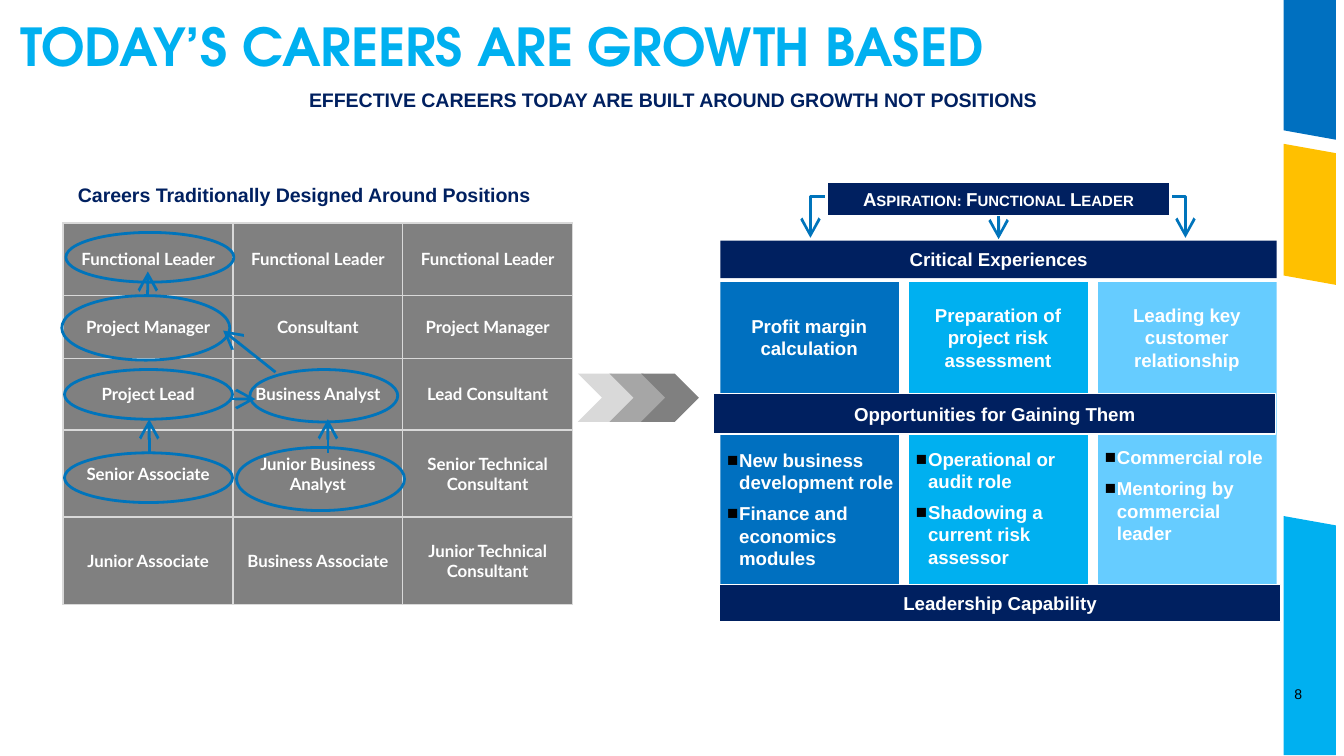
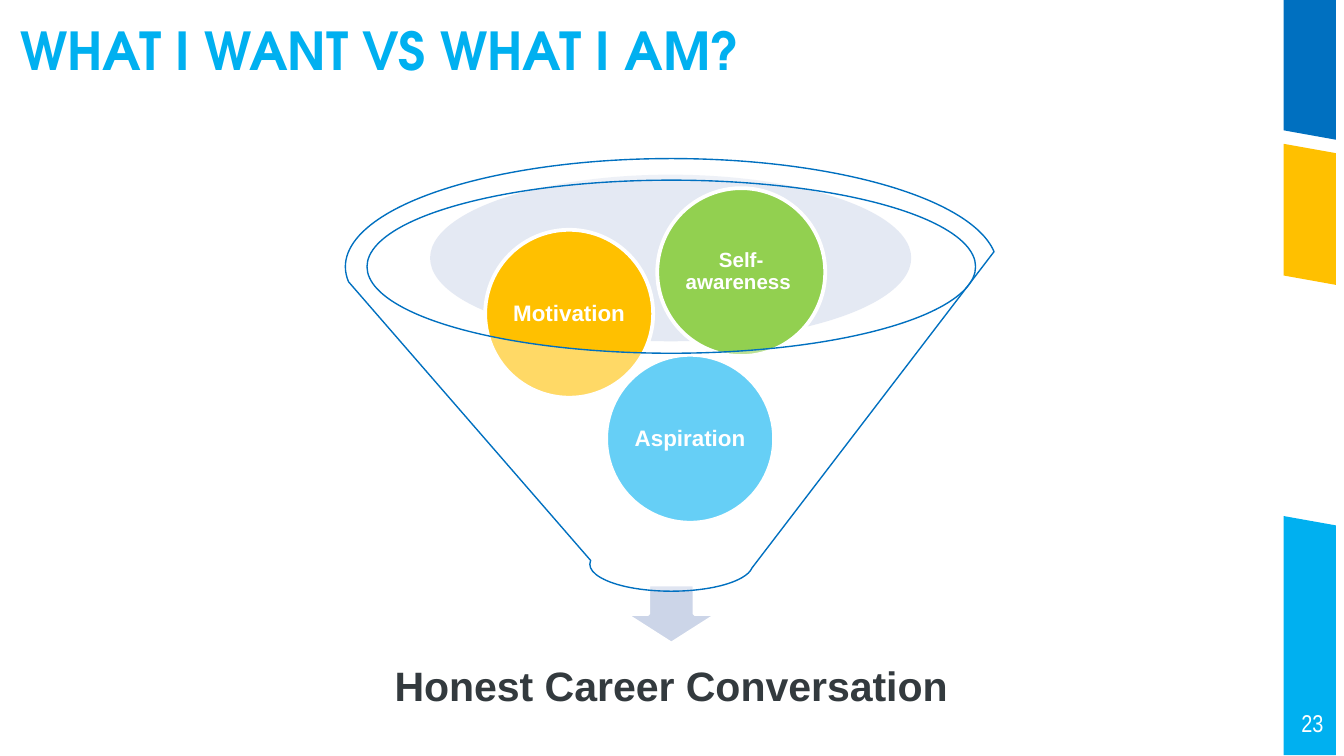
from dataclasses import dataclass
from typing import Optional, Sequence

from lxml.etree import SubElement
from pptx import Presentation
from pptx.dml.color import RGBColor
from pptx.enum.shapes import MSO_CONNECTOR as Connector, MSO_SHAPE as Preset
from pptx.enum.text import MSO_ANCHOR as Anchor, MSO_AUTO_SIZE as AutoSize, PP_ALIGN as Align
from pptx.oxml.ns import qn
from pptx.util import Cm, Pt

COLORS = {
    "navy": "002060", "blue": "0070C0", "sky": "00B0F0", "pale": "66CCFF",
    "gold": "FFC000", "green": "92D050", "ink": "0074BB", "white": "FFFFFF",
    "black": "000000", "slate": "333A3E", "grey": "808080", "mid_grey": "A6A6A6",
    "light_grey": "D9D9D9", "haze": "BDC9E2", "arrow": "CCD5E8",
}


@dataclass(frozen=True)
class Area:
    left: float
    top: float
    width: float
    height: float


@dataclass(frozen=True)
class TextStyle:
    size: float
    color: str = "white"
    font: str = "Arial"
    bold: bool = True
    align: Align = Align.CENTER
    anchor: Anchor = Anchor.MIDDLE
    inset: float = 0
    line_spacing: float = 1.0


@dataclass(frozen=True)
class Band:
    color: str
    points: Sequence[tuple[float, float]]


@dataclass(frozen=True)
class Bar:
    label: str
    area: Area


@dataclass(frozen=True)
class Column:
    color: str
    experience: str
    roles: Sequence[str]
    list_width: float


@dataclass(frozen=True)
class Ball:
    label: str
    color: str
    left: float
    top: float
    size: float


TITLE = TextStyle(28, "sky", "TeX Gyre Adventor", align=Align.LEFT, inset=0.04)
HEADING = TextStyle(10.5, "navy")
LABEL = TextStyle(10)
ROLE = TextStyle(10, align=Align.LEFT, anchor=Anchor.TOP)
CELL = TextStyle(9, font="Lato")

BANDS = [
    Band("sky", [(9.55, 5.62), (9.55, 3.84), (9.94, 3.91), (9.94, 5.62)]),
    Band("gold", [(9.94, 2.12), (9.55, 2.05), (9.55, 1.07), (9.94, 1.14)]),
    Band("blue", [(9.55, 0), (9.94, 0), (9.94, 1.04), (9.55, 0.97)]),
]

POSITIONS = [
    ["Functional Leader", "Functional Leader", "Functional Leader"],
    ["Project Manager", "Consultant", "Project Manager"],
    ["Project Lead", "Business Analyst", "Lead Consultant"],
    ["Senior Associate", "Junior Business Analyst", "Senior Technical Consultant"],
    ["Junior Associate", "Business Associate", "Junior Technical Consultant"],
]
ROW_HEIGHTS = [0.54, 0.47, 0.53, 0.65, 0.65]

CAREER_STEPS = [
    Area(1.76, 3.33, 1.25, 0.47), Area(1.86, 2.75, 1.1, 0.39),
    Area(0.48, 2.75, 1.25, 0.37), Area(0.46, 2.2, 1.25, 0.48),
    Area(0.49, 1.73, 1.25, 0.37), Area(0.48, 3.37, 1.25, 0.37),
]
CAREER_MOVES = [
    ((1.1, 2.2), (1.1, 2.02)), ((1.71, 2.97), (1.9, 2.97)),
    ((2.05, 2.77), (1.66, 2.46)), ((1.11, 3.38), (1.11, 3.12)),
    ((2.44, 3.37), (2.44, 3.12)),
]

COLUMNS = [
    Column("blue", "Profit margin calculation",
           ["New business development role", "Finance and economics \vmodules"], 1.3),
    Column("sky", "Preparation of project risk assessment",
           ["Operational or audit role", "Shadowing a current risk assessor"], 1.16),
    Column("pale", "Leading key customer relationship",
           ["Commercial role", "Mentoring by commercial leader"], 1.19),
]
PLAIN_BAR = Bar("Critical Experiences", Area(5.36, 1.79, 4.14, 0.28))
EDGED_BARS = [
    Bar("Opportunities for Gaining Them", Area(5.31, 2.93, 4.18, 0.3)),
    Bar("Leadership Capability", Area(5.35, 4.35, 4.18, 0.28)),
]
GOAL_BAR = Bar("Aspiration: Functional Leader", Area(6.15, 1.35, 2.56, 0.26))

BALLS = [
    Ball("Aspiration", "sky", 4.51, 2.64, 12),
    Ball("Motivation ", "gold", 3.61, 1.71, 12),
    Ball("Self-awareness ", "green", 4.89, 1.4, 11),
]


def inches(value: float) -> Cm:
    return Cm(value * 2.54)


def color(name: str) -> RGBColor:
    return RGBColor.from_string(COLORS[name])


def frame(area: Area) -> list[Cm]:
    return [inches(v) for v in (area.left, area.top, area.width, area.height)]


def write(box, lines: Sequence[str], style: TextStyle, gap: float = 0) -> None:
    text = box.text_frame
    text.word_wrap = True
    text.auto_size = AutoSize.NONE
    text.vertical_anchor = style.anchor
    text.margin_left = text.margin_right = inches(style.inset)
    text.margin_top = text.margin_bottom = inches(style.inset)
    text.text = "\n".join(lines)
    for index, para in enumerate(text.paragraphs):
        para.alignment = style.align
        para.line_spacing = style.line_spacing
        para.space_before = Pt(gap if index else 0)
        for span in para.runs:
            span.font.name = style.font
            span.font.size = Pt(style.size)
            span.font.bold = style.bold
            span.font.color.rgb = color(style.color)


def add_text(page, area: Area, words: str, style: TextStyle) -> None:
    write(page.shapes.add_textbox(*frame(area)), [words], style)


def fill_placeholder(box, area: Area, lines: Sequence[str], style: TextStyle, gap: float = 0) -> None:
    box.left, box.top, box.width, box.height = frame(area)
    write(box, lines, style, gap)
    box.element.getparent().append(box.element)


def add_bullets(box) -> None:
    for para in box.text_frame.paragraphs:
        props = para._p.get_or_add_pPr()
        props.set("marL", str(inches(0.09)))
        props.set("indent", str(-inches(0.09)))
        SubElement(SubElement(props, qn("a:buClr")), qn("a:srgbClr"), val=COLORS["black"])
        SubElement(props, qn("a:buChar"), char="■")


def paint(shape, fill: Optional[str], line: Optional[str] = None, width: float = 1) -> None:
    shape.shadow.inherit = False
    if fill:
        shape.fill.solid()
        shape.fill.fore_color.rgb = color(fill)
    else:
        shape.fill.background()
    if line:
        shape.line.color.rgb = color(line)
        shape.line.width = Pt(width)
    else:
        shape.line.fill.background()


def add_preset(page, kind: Preset, area: Area, fill: Optional[str],
               line: Optional[str] = None, width: float = 1):
    shape = page.shapes.add_shape(kind, *frame(area))
    paint(shape, fill, line, width)
    return shape


def add_outline(page, points: Sequence[tuple[float, float]], close: bool):
    corners = [(inches(x), inches(y)) for x, y in points]
    builder = page.shapes.build_freeform(*corners[0])
    builder.add_line_segments(corners[1:], close=close)
    return builder.convert_to_shape()


def set_opacity(shape, percent: int) -> None:
    fill = next(shape.element.iter(qn("a:srgbClr")))
    SubElement(fill, qn("a:alpha"), val=str(percent * 1000))


def add_arrowhead(shape) -> None:
    line = shape.element.spPr.find(qn("a:ln"))
    SubElement(line, qn("a:tailEnd"), type="arrow", w="lg", len="lg")


def add_arrow(page, start: tuple[float, float], end: tuple[float, float]):
    ends = [inches(v) for v in (*start, *end)]
    arrow = page.shapes.add_connector(Connector.STRAIGHT, *ends)
    arrow.line.color.rgb = color("ink")
    arrow.line.width = Pt(1.5)
    add_arrowhead(arrow)
    SubElement(arrow.element.spPr, qn("a:effectLst"))
    return arrow


def add_page(deck, layout: int, title: str, top: float):
    page = deck.slides.add_slide(deck.slide_layouts[layout])
    for band in BANDS:
        paint(add_outline(page, band.points, True), band.color)
    fill_placeholder(page.shapes.title, Area(0.11, top, 8.06, 0.56), [title], TITLE)
    return page


def add_positions_table(page) -> None:
    area = Area(0.47, 1.66, 3.79, sum(ROW_HEIGHTS))
    table = page.shapes.add_table(len(POSITIONS), 3, *frame(area)).table
    table.first_row = table.horz_banding = False
    for column in table.columns:
        column.width = inches(area.width / 3)
    for row, height, names in zip(table.rows, ROW_HEIGHTS, POSITIONS):
        row.height = inches(height)
        for cell, name in zip(row.cells, names):
            write_cell(cell, name)


def write_cell(cell, name: str) -> None:
    props = cell._tc.get_or_add_tcPr()
    for side in ("lnL", "lnR", "lnT", "lnB"):
        border = SubElement(props, qn(f"a:{side}"), w=str(Pt(1)))
        SubElement(SubElement(border, qn("a:solidFill")), qn("a:srgbClr"), val=COLORS["light_grey"])
    cell.fill.solid()
    cell.fill.fore_color.rgb = color("grey")
    cell.vertical_anchor = CELL.anchor
    cell.text_frame.text = name
    para = cell.text_frame.paragraphs[0]
    para.alignment = CELL.align
    font = para.runs[0].font
    font.name, font.size, font.bold = CELL.font, Pt(CELL.size), CELL.bold
    font.color.rgb = color(CELL.color)


def add_bar(page, bar: Bar, line: Optional[str] = None, width: float = 0.75):
    box = add_preset(page, Preset.RECTANGLE, bar.area, "navy", line, width)
    write(box, [bar.label], LABEL)
    return box


def add_growth_model(page) -> None:
    for index, column in enumerate(COLUMNS):
        left = 5.36 + 1.405 * index
        add_preset(page, Preset.RECTANGLE, Area(left, 2.1, 1.33, 2.25), column.color)
        add_text(page, Area(left + 0.07, 2.2, 1.18, 0.62), column.experience, LABEL)
        box = page.placeholders[index + 2]
        area = Area(left + 0.05, 3.34 - 0.01 * index, column.list_width, 1)
        fill_placeholder(box, area, column.roles, ROLE, 4.5)
        add_bullets(box)
    add_bar(page, PLAIN_BAR)
    for bar in EDGED_BARS:
        add_bar(page, bar, "white")
    for inner, outer in ((6.35, 6.03), (8.5, 8.82)):
        elbow = add_outline(page, [(inner, 1.46), (outer, 1.46), (outer, 1.77)], False)
        paint(elbow, None, "ink", 1.5)
        add_arrowhead(elbow)
    goal = add_bar(page, GOAL_BAR, "white", 1.5)
    next(goal.element.iter(qn("a:rPr"))).set("cap", "small")
    add_arrow(page, (7.43, 1.61), (7.43, 1.78)).begin_connect(goal, 2)


def build_growth_page(deck) -> None:
    page = add_page(deck, 4, "TODAY’S CAREERS ARE GROWTH BASED", 0.06)
    fill_placeholder(page.placeholders[1], Area(0.37, 0.6, 9.28, 0.28),
                     ["EFFECTIVE CAREERS TODAY ARE BUILT AROUND GROWTH NOT POSITIONS"], HEADING)
    add_positions_table(page)
    add_text(page, Area(0.54, 1.36, 3.45, 0.18), "Careers Traditionally Designed Around Positions", HEADING)
    for index, shade in enumerate(("light_grey", "mid_grey", "grey")):
        add_preset(page, Preset.CHEVRON, Area(4.3 + 0.235 * index, 2.78, 0.43, 0.36), shade)
    for step in CAREER_STEPS:
        add_preset(page, Preset.OVAL, step, None, "ink", 1.5)
    for start, end in CAREER_MOVES:
        add_arrow(page, start, end)
    add_growth_model(page)
    add_text(page, Area(9.59, 5.06, 0.14, 0.21), "8", TextStyle(7.5, "black", bold=False))


def build_funnel_page(deck) -> None:
    page = add_page(deck, 5, "WHAT I WANT VS WHAT I AM?", 0.09)
    add_text(page, Area(9.57, 5.13, 0.39, 0.5), "23", TextStyle(13, font="Arial Narrow", bold=False))
    set_opacity(add_preset(page, Preset.OVAL, Area(3.2, 1.3, 3.58, 1.24), "haze"), 40)
    add_preset(page, Preset.DOWN_ARROW, Area(4.65, 4.35, 0.69, 0.44), "arrow", "white", 2)
    add_text(page, Area(2.71, 4.71, 4.57, 0.83), "Honest Career Conversation",
             TextStyle(22, "slate", inset=0.17, line_spacing=0.9))
    for ball in BALLS:
        circle = add_preset(page, Preset.OVAL, Area(ball.left, ball.top, 1.25, 1.25), ball.color, "white", 2)
        write(circle, [ball.label], TextStyle(ball.size, inset=0.02, line_spacing=0.9))
    funnel = add_preset(page, Preset.FUNNEL, Area(2.57, 1.18, 4.85, 3.22), "white", "blue", 0.75)
    set_opacity(funnel, 40)


def main() -> None:
    deck = Presentation()
    deck.slide_width, deck.slide_height = Cm(25.4), Cm(14.29)
    build_growth_page(deck)
    build_funnel_page(deck)
    deck.save("out.pptx")


if __name__ == "__main__":
    main()
